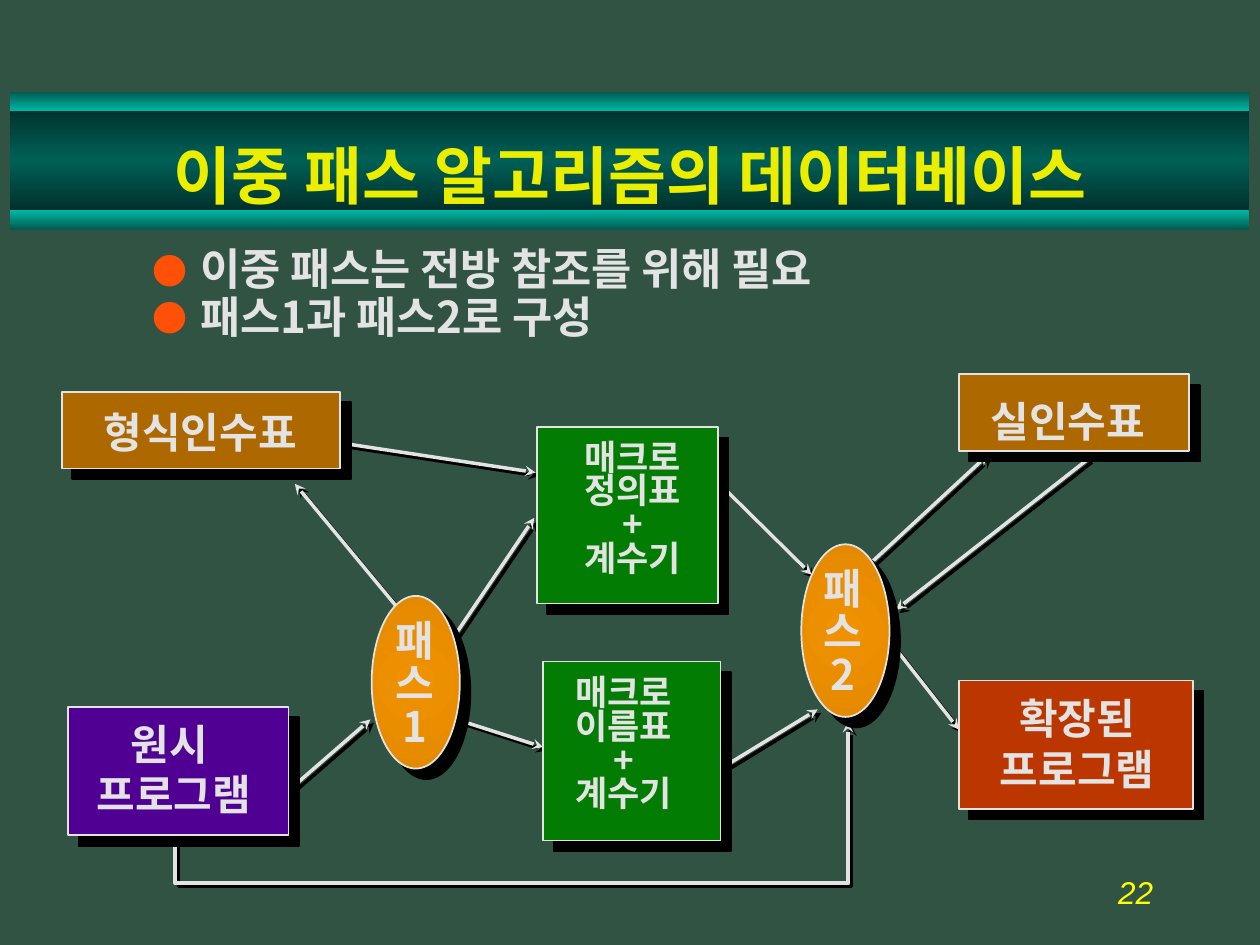
from dataclasses import dataclass

from lxml import etree
from pptx import Presentation
from pptx.dml.color import RGBColor
from pptx.enum.shapes import MSO_CONNECTOR, MSO_SHAPE
from pptx.enum.text import MSO_ANCHOR, PP_ALIGN
from pptx.oxml.ns import qn
from pptx.util import Inches, Pt

RECTANGLE, OVAL = MSO_SHAPE.RECTANGLE, MSO_SHAPE.OVAL
STRAIGHT = MSO_CONNECTOR.STRAIGHT
LEFT, CENTER, RIGHT = PP_ALIGN.LEFT, PP_ALIGN.CENTER, PP_ALIGN.RIGHT
TOP, MIDDLE = MSO_ANCHOR.TOP, MSO_ANCHOR.MIDDLE


@dataclass(frozen=True)
class Theme:
    background: str = "305343"
    light: str = "E3E3E3"
    title: str = "ECEE00"
    bullet: str = "FF5008"
    number: str = "FFFF00"
    shadow: str = "000000"
    source: str = "500093"
    argument: str = "AD6900"
    macro: str = "037C03"
    result: str = "BC3700"
    passes: tuple = ("EF9100", "E48A00")
    band: tuple = ("00302B", "006057", "00302B")
    edge: tuple = ("005B52", "00B7A5")
    font: str = "Noto Sans CJK KR"
    number_font: str = "Arial"
    title_size: int = 36
    body_size: int = 25
    label_size: int = 24
    small_size: int = 20
    number_size: int = 18
    box_shadow: float = 8.5
    line_shadow: float = 2.8


def add_node(parent, tag, **attributes):
    node = etree.SubElement(parent, qn(tag))
    for name, value in attributes.items():
        node.set(name, str(value))
    return node


class Deck:
    def __init__(self, theme):
        self.theme = theme
        self.presentation = Presentation()
        self.presentation.slide_width = Inches(10)
        self.presentation.slide_height = Inches(7.5)
        self.slide = self.presentation.slides.add_slide(self.presentation.slide_layouts[6])
        fill = self.slide.background.fill
        fill.solid()
        fill.fore_color.rgb = RGBColor.from_string(theme.background)

    def drop_shadow(self, effects, distance):
        shadow = add_node(effects, "a:outerShdw", dist=Pt(distance), dir=45 * 60000,
                          algn="ctr", rotWithShape=0)
        add_node(shadow, "a:srgbClr", val=self.theme.shadow)

    def gradient(self, shape, colors, radial):
        shape.fill.gradient()
        gradient = shape._element.spPr.find(qn("a:gradFill"))
        for child in list(gradient):
            gradient.remove(child)
        stops = add_node(gradient, "a:gsLst")
        for index, color in enumerate(colors):
            stop = add_node(stops, "a:gs", pos=100000 * index // (len(colors) - 1))
            add_node(stop, "a:srgbClr", val=color)
        if radial:
            center = add_node(gradient, "a:path", path="circle")
            add_node(center, "a:fillToRect", l=50000, t=50000, r=50000, b=50000)
        else:
            add_node(gradient, "a:lin", ang=90 * 60000, scaled=0)

    def shape(self, kind, place, fill, outlined=True):
        shape = self.slide.shapes.add_shape(kind, *map(Inches, place))
        if isinstance(fill, tuple):
            self.gradient(shape, fill, kind == OVAL)
        else:
            shape.fill.solid()
            shape.fill.fore_color.rgb = RGBColor.from_string(fill)
        shape.shadow.inherit = False
        if outlined:
            shape.line.color.rgb = RGBColor.from_string(self.theme.light)
            shape.line.width = Pt(1)
            effects = shape._element.spPr.find(qn("a:effectLst"))
            self.drop_shadow(effects, self.theme.box_shadow)
        else:
            shape.line.fill.background()

    def arrow(self, *points):
        """Draw through the points, with the arrowhead at the last one."""
        points = [(Inches(x), Inches(y)) for x, y in points]
        if len(points) == 2:
            line = self.slide.shapes.add_connector(STRAIGHT, *points[0], *points[1])
        else:
            builder = self.slide.shapes.build_freeform(*points[0])
            builder.add_line_segments(points[1:], close=False)
            line = builder.convert_to_shape()
            line.fill.background()
        line.line.color.rgb = RGBColor.from_string(self.theme.light)
        line.line.width = Pt(2)
        properties = line._element.spPr
        add_node(properties.find(qn("a:ln")), "a:tailEnd", type="stealth")
        self.drop_shadow(add_node(properties, "a:effectLst"), self.theme.line_shadow)

    def text(self, place, lines, size, color=None, align=CENTER, anchor=TOP, spacing=1.0,
             hanging=True, bullet=False):
        frame = self.slide.shapes.add_textbox(*map(Inches, place)).text_frame
        frame.word_wrap = True
        frame.vertical_anchor = anchor
        for index, line in enumerate(lines):
            paragraph = frame.paragraphs[0] if index == 0 else frame.add_paragraph()
            paragraph.alignment = align
            paragraph.line_spacing = spacing
            properties = paragraph._p.get_or_add_pPr()
            if hanging:
                properties.set("marL", str(Inches(0.38)))
                properties.set("indent", str(-Inches(0.38)))
            if bullet:
                add_node(add_node(properties, "a:buClr"), "a:srgbClr", val=self.theme.bullet)
                add_node(properties, "a:buSzPct", val=80000)
                add_node(properties, "a:buFont", typeface=self.theme.font)
                add_node(properties, "a:buChar", char="●")
            self.run(paragraph, line, size, color or self.theme.light)
        return frame

    def run(self, paragraph, content, size, color):
        run = paragraph.add_run()
        run.text = content
        run.font.size = Pt(size)
        run.font.bold = True
        run.font.color.rgb = RGBColor.from_string(color)
        properties = run._r.get_or_add_rPr()
        self.drop_shadow(add_node(properties, "a:effectLst"), self.theme.line_shadow)
        for script in ("a:latin", "a:ea"):
            add_node(properties, script, typeface=self.theme.font)

    def page_number(self, place, number):
        frame = self.slide.shapes.add_textbox(*map(Inches, place)).text_frame
        frame.word_wrap = True
        frame.vertical_anchor = MIDDLE
        paragraph = frame.paragraphs[0]
        paragraph.alignment = RIGHT
        run = paragraph.add_run()
        run.text = number
        run.font.name = self.theme.number_font
        run.font.size = Pt(self.theme.number_size)
        run.font.italic = True
        run.font.color.rgb = RGBColor.from_string(self.theme.number)


def main():
    theme = Theme()
    deck = Deck(theme)

    # Title band
    deck.shape(RECTANGLE, (0.08, 0.85, 9.83, 0.83), theme.band, outlined=False)
    deck.shape(RECTANGLE, (0.08, 1.67, 9.83, 0.15), theme.edge[::-1], outlined=False)
    deck.shape(RECTANGLE, (0.08, 0.73, 9.83, 0.15), theme.edge, outlined=False)
    deck.text((0.75, 0.98, 8.5, 0.81), ["이중 패스 알고리즘의 데이터베이스"], theme.title_size,
              theme.title, anchor=MIDDLE, hanging=False)

    # Bullets
    deck.text((1.11, 1.92, 8.26, 1.07), ["이중 패스는 전방 참조를 위해 필요", "패스1과 패스2로 구성"],
              theme.body_size, align=LEFT, spacing=0.9, bullet=True)

    # Data flow
    for points in (
        ((1.39, 6.51), (1.39, 7.01), (6.73, 7.01), (6.73, 5.73)),
        ((3.26, 4.95), (2.34, 3.84)),
        ((3.49, 5.22), (4.24, 4.11)),
        ((3.56, 5.69), (4.31, 5.93)),
        ((2.27, 3.45), (4.25, 3.75)),
        ((5.63, 3.76), (6.44, 4.56)),
        ((6.92, 4.46), (7.84, 3.61)),
        ((8.64, 3.64), (7.11, 4.84)),
        ((5.77, 6.07), (6.49, 5.63)),
        ((7.11, 5.15), (7.61, 5.79)),
        ((2.33, 6.24), (2.94, 5.71)),
    ):
        deck.arrow(*points)

    # Programs, tables and passes: kind, box, fill, label box, label, size, line spacing
    label, small = theme.label_size, theme.small_size
    for kind, box, fill, label_box, lines, size, spacing in (
        (RECTANGLE, (0.54, 5.61, 1.75, 1.02), theme.source,
         (0.43, 5.65, 1.9, 0.96), ["원시 ", "프로그램"], label, 1.0),
        (RECTANGLE, (7.61, 2.97, 1.83, 0.61), theme.argument,
         (7.55, 3.09, 1.85, 0.52), ["실인수표"], label, 1.0),
        (OVAL, (2.95, 4.73, 0.7, 1.37), theme.passes,
         (2.92, 4.89, 0.74, 1.34), ["패", "스", "1"], label, 0.85),
        (OVAL, (6.36, 4.32, 0.7, 1.37), theme.passes,
         (6.32, 4.48, 0.74, 1.34), ["패", "스", "2"], label, 0.85),
        (RECTANGLE, (0.49, 3.11, 2.21, 0.61), theme.argument,
         (0.44, 3.18, 2.3, 0.52), ["형식인수표"], label, 1.0),
        (RECTANGLE, (4.26, 3.39, 1.44, 1.4), theme.macro,
         (4.28, 3.47, 1.48, 1.32), ["매크로", "정의표", "+", "계수기"], small, 0.8),
        (RECTANGLE, (4.31, 5.25, 1.41, 1.42), theme.macro,
         (4.21, 5.34, 1.48, 1.29), ["매크로", "이름표", "+", "계수기"], small, 0.8),
        (RECTANGLE, (7.61, 5.4, 1.86, 1.02), theme.result,
         (7.63, 5.45, 1.84, 0.97), ["확장된", "프로그램"], label, 1.0),
    ):
        deck.shape(kind, box, fill)
        deck.text(label_box, lines, size, spacing=spacing)

    # Page number
    deck.page_number((7.17, 6.83, 2.08, 0.5), "22")
    deck.presentation.save("out.pptx")


if __name__ == "__main__":
    main()
